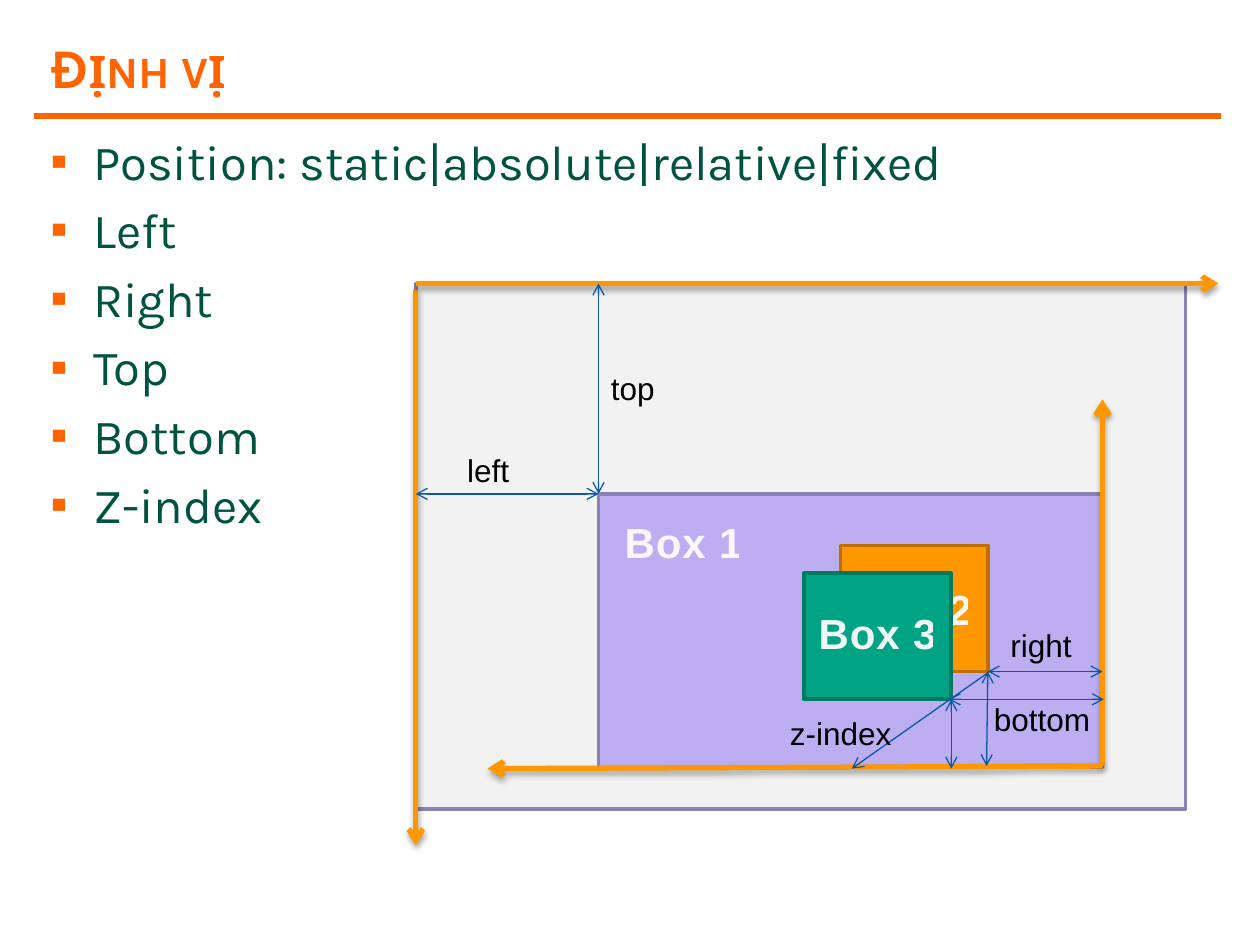
from lxml.etree import SubElement
from pptx import Presentation
from pptx.dml.color import RGBColor
from pptx.enum.shapes import MSO_CONNECTOR as Line, MSO_SHAPE as Preset
from pptx.enum.text import MSO_ANCHOR as Anchor, MSO_AUTO_SIZE as AutoSize, PP_ALIGN as Align
from pptx.oxml.ns import qn
from pptx.util import Inches, Pt

ORANGE, GREEN, BLUE, AMBER = "FF6400", "005241", "0858A6", "FF9700"
TITLE = "Định vị"
BULLETS = ["Position: static|absolute|relative|fixed", "Left", "Right", "Top", "Bottom", "Z-index"]
FRAMES = [
    ((3.3, 2.25, 6.11, 4.17), "F2F2F2", "8C81B3"),
    ((4.75, 3.92, 4, 2.17), "BDAEF2", "8C81B3"),
]
AXES = [
    ((3.3, 2.3), (3.3, 6.71)),
    ((3.3, 2.25), (9.67, 2.25)),
    ((8.75, 6.08), (8.75, 3.17)),
    ((8.75, 6.08), (3.87, 6.1)),
]
BOX_1 = {
    "arrows": [((4.75, 3.92), (4.75, 2.25)), ((4.75, 3.92), (3.3, 3.92))],
    "name": ("Box 1", (4.85, 4.05, 1.15, 0.5)),
    "labels": [("left", (3.61, 3.53, 0.54, 0.4)), ("top", (4.75, 2.88, 0.55, 0.4))],
}
BOX_2 = {
    "frame": ((6.67, 4.33, 1.17, 1), AMBER, "BD7000"),
    "arrows": [((7.84, 5.33), (7.83, 6.08)), ((7.84, 5.33), (8.75, 5.33))],
    "name": ("Box 2", (6.67, 4.58, 1.15, 0.5)),
    "labels": [("bottom", (7.79, 5.51, 0.97, 0.4)), ("right", (7.92, 4.92, 0.69, 0.4))],
}
BOX_3 = {
    "frame": ((6.38, 4.55, 1.17, 1), "00A383", "007961"),
    "arrows": [((7.55, 5.55), (7.55, 6.1)), ((7.53, 5.55), (8.76, 5.55))],
    "name": ("Box 3", (6.39, 4.77, 1.15, 0.5)),
    "depth": ((7.84, 5.34), (6.76, 6.1)),
    "labels": [("z-index", (6.17, 5.62, 1.02, 0.4))],
}


def color(value):
    return RGBColor.from_string(value)


def add(parent, tag, **attributes):
    return SubElement(parent, qn(tag), {key: str(value) for key, value in attributes.items()})


def add_frame(page, at, fill, outline):
    frame = page.shapes.add_shape(Preset.RECTANGLE, *map(Inches, at))
    frame.shadow.inherit = False
    frame.fill.solid()
    frame.fill.fore_color.rgb = color(fill)
    frame.line.color.rgb = color(outline)
    frame.line.width = Pt(2)


def add_line(page, start, end, stroke=BLUE, width=0.75, head=False, tail=True, shadow=False):
    line = page.shapes.add_connector(Line.STRAIGHT, *map(Inches, (*start, *end)))
    line.line.color.rgb = color(stroke)
    line.line.width = Pt(width)
    outline = line.line._get_or_add_ln()
    if head:
        add(outline, "a:headEnd", type="arrow")
    if tail:
        add(outline, "a:tailEnd", type="arrow")
    effects = add(line._element.spPr, "a:effectLst")
    if shadow:
        cast = add(effects, "a:outerShdw", blurRad=Pt(3.1), dist=Pt(1.8), dir=90 * 60000, rotWithShape=0)
        add(add(cast, "a:srgbClr", val="000000"), "a:alpha", val=35000)


def add_text(page, lines, at, size=18, font="Arial", ink="000000", bold=False, align=Align.LEFT,
             anchor=Anchor.TOP, wrap=False, margins=(0.1, 0.05), bullet=None, caps=None,
             spacing=None, alpha=None):
    box = page.shapes.add_textbox(*map(Inches, at))
    frame = box.text_frame
    frame.word_wrap = wrap
    frame.auto_size = AutoSize.NONE if wrap else AutoSize.SHAPE_TO_FIT_TEXT
    frame.vertical_anchor = anchor
    frame.margin_left = frame.margin_right = Inches(margins[0])
    frame.margin_top = frame.margin_bottom = Inches(margins[1])
    for index, text in enumerate(lines):
        para = frame.add_paragraph() if index else frame.paragraphs[0]
        para.alignment = align
        if bullet:
            layout = para._p.get_or_add_pPr()
            layout.set("marL", str(Inches(0.34)))
            layout.set("indent", str(-Inches(0.34)))
            add(add(layout, "a:spcBef"), "a:spcPct", val=20000)
            add(add(layout, "a:buClr"), "a:srgbClr", val=ORANGE)
            add(layout, "a:buFont", typeface="Arial")
            add(layout, "a:buChar", char=bullet)
        span = para.add_run()
        span.text = text
        span.font.size = Pt(size)
        span.font.name = font
        span.font.bold = bold
        span.font.color.rgb = color(ink)
        style = span._r.get_or_add_rPr()
        if caps:
            style.set("cap", caps)
        if spacing:
            style.set("spc", str(int(spacing * 100)))
        if alpha:
            add(style.find(".//" + qn("a:srgbClr")), "a:alpha", val=alpha * 1000)


def add_box(page, name, arrows, labels, frame=None, depth=None):
    if frame:
        add_frame(page, *frame)
    for start, end in arrows:
        add_line(page, start, end, head=True)
    text, at = name
    add_text(page, [text], at, size=24, ink="FCFCFD", bold=True, align=Align.CENTER,
             spacing=0.5, alpha=95)
    if depth:
        add_line(page, *depth)
    for text, at in labels:
        add_text(page, [text], at)


def main():
    """Build the slide on CSS positioning."""
    deck = Presentation()
    deck.slide_width, deck.slide_height = Inches(10), Inches(7.5)
    page = deck.slides.add_slide(deck.slide_layouts[6])
    add_line(page, (0.27, 0.92), (9.69, 0.92), stroke=ORANGE, width=3, tail=False)
    add_text(page, [TITLE], (0.27, 0.19, 9.42, 0.67), size=32, font="Karla", ink=ORANGE, bold=True,
             anchor=Anchor.MIDDLE, wrap=True, margins=(0.13, 0.07), caps="small")
    add_text(page, BULLETS, (0.27, 0.97, 9.42, 5.56), size=28, font="Karla", ink=GREEN,
             wrap=True, margins=(0.13, 0.07), bullet="▪")
    for frame in FRAMES:
        add_frame(page, *frame)
    for start, end in AXES:
        add_line(page, start, end, stroke=AMBER, width=3, shadow=True)
    for box in (BOX_1, BOX_2, BOX_3):
        add_box(page, **box)
    deck.save("out.pptx")


if __name__ == "__main__":
    main()
